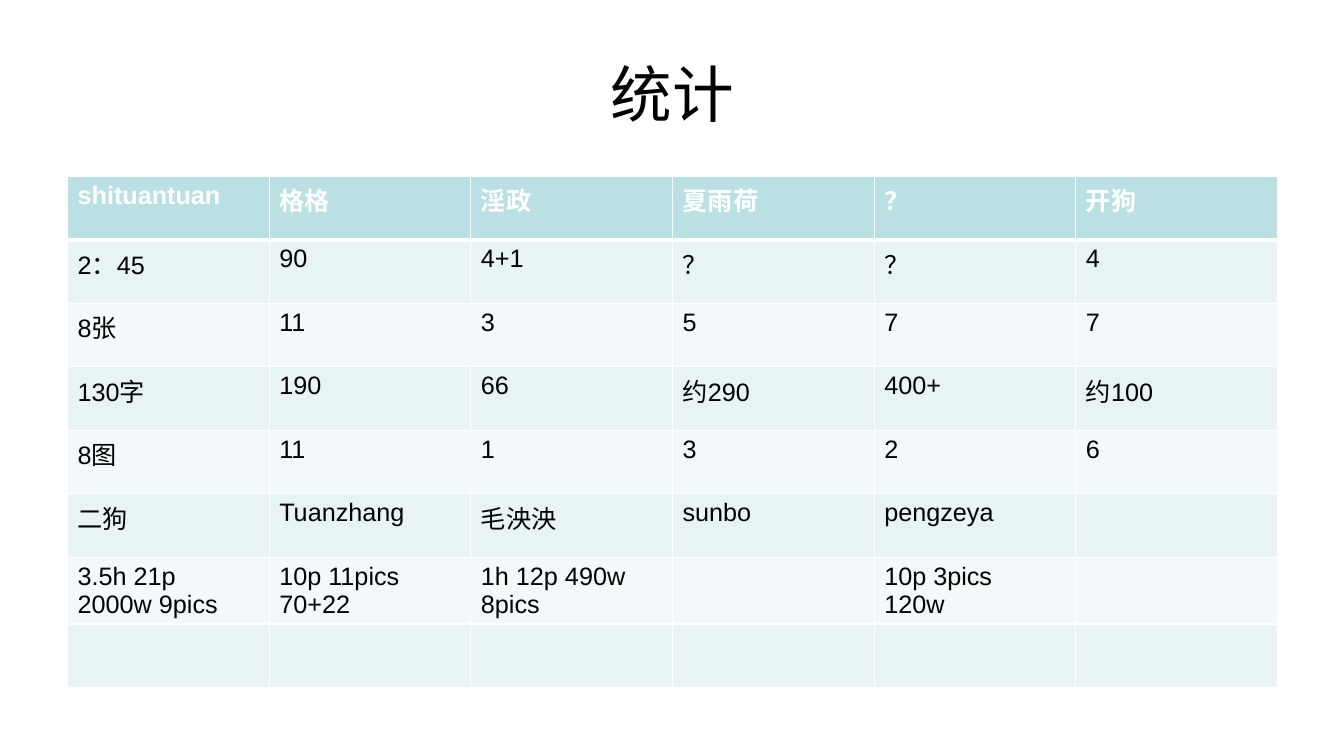
"""Build a slide with a statistics table under a centred title."""
from dataclasses import dataclass

from lxml.etree import fromstring
from pptx import Presentation
from pptx.dml.color import RGBColor as Color
from pptx.enum.text import MSO_ANCHOR as Anchor, PP_ALIGN as Align
from pptx.oxml.ns import nsdecls
from pptx.util import Inches, Pt

TITLE = "统计"
ROWS = [
    ["shituantuan", "格格", "淫政", "夏雨荷", "？", "开狗"],
    ["2：45", "90", "4+1", "？", "？", "4"],
    ["8张", "11", "3", "5", "7", "7"],
    ["130字", "190", "66", "约290", "400+", "约100"],
    ["8图", "11", "1", "3", "2", "6"],
    ["二狗", "Tuanzhang", "毛泱泱", "sunbo", "pengzeya", ""],
    ["3.5h 21p\v2000w 9pics", "10p 11pics\n70+22", "1h 12p 490w\n8pics", "", "10p 3pics\v120w", ""],
    ["", "", "", "", "", ""],
]


@dataclass(frozen=True)
class Theme:
    font: str = "Arial"
    title_size: int = 44
    cell_size: int = 18
    text: str = "000000"
    header_text: str = "FFFFFF"
    header_fill: str = "BBE0E3"
    band_fills: tuple = ("F3F9FA", "E7F3F4")
    border: str = "FFFFFF"
    thin: int = 1
    thick: int = 3


THEME = Theme()
LEFT, WIDTH = 0.67, 12
TABLE_TOP, ROW_HEIGHT = 1.75, 0.63


def format_text(text_frame, size, color, bold=False):
    for paragraph in text_frame.paragraphs:
        for run in paragraph.runs:
            run.font.name = THEME.font
            run.font.size = Pt(size)
            run.font.bold = bold
            run.font.color.rgb = Color.from_string(color)


def add_borders(cell, top, bottom):
    properties = cell._tc.get_or_add_tcPr()
    widths = {"lnL": THEME.thin, "lnR": THEME.thin, "lnT": top, "lnB": bottom}
    for position, (side, width) in enumerate(widths.items()):
        properties.insert(position, fromstring(
            f'<a:{side} {nsdecls("a")} w="{Pt(width)}"><a:solidFill>'
            f'<a:srgbClr val="{THEME.border}"/></a:solidFill></a:{side}>'))


def add_title(slide):
    title = slide.shapes.title
    title.left, title.top = Inches(LEFT), Inches(0.3)
    title.width, title.height = Inches(WIDTH), Inches(1.25)
    title.text_frame.text = TITLE
    title.text_frame.vertical_anchor = Anchor.MIDDLE
    title.text_frame.paragraphs[0].alignment = Align.CENTER
    format_text(title.text_frame, THEME.title_size, THEME.text)


def add_statistics(slide):
    table = slide.shapes.add_table(
        len(ROWS), len(ROWS[0]), Inches(LEFT), Inches(TABLE_TOP),
        Inches(WIDTH), Inches(ROW_HEIGHT * len(ROWS))).table
    for row_index, row in enumerate(ROWS):
        header = row_index == 0
        fill = THEME.header_fill if header else THEME.band_fills[row_index % 2]
        color = THEME.header_text if header else THEME.text
        top = THEME.thick if row_index == 1 else THEME.thin
        bottom = THEME.thick if header else THEME.thin
        for column_index, text in enumerate(row):
            cell = table.cell(row_index, column_index)
            cell.fill.solid()
            cell.fill.fore_color.rgb = Color.from_string(fill)
            add_borders(cell, top, bottom)
            if text:
                cell.text_frame.text = text
                format_text(cell.text_frame, THEME.cell_size, color, header)


def main():
    presentation = Presentation()
    presentation.slide_width = Inches(13.33)
    presentation.slide_height = Inches(7.5)
    slide = presentation.slides.add_slide(presentation.slide_layouts[5])
    add_title(slide)
    add_statistics(slide)
    presentation.save("out.pptx")


if __name__ == "__main__":
    main()
